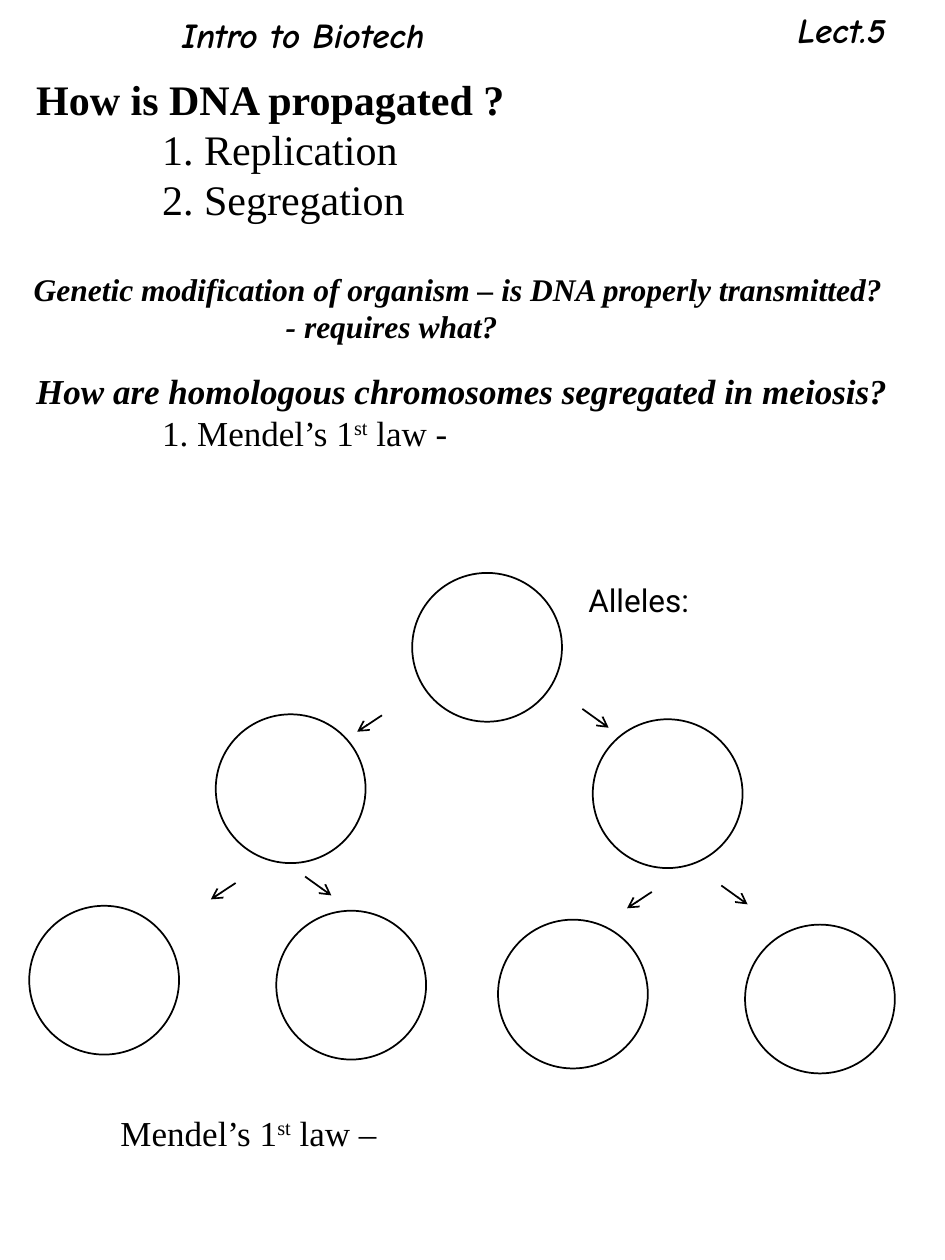
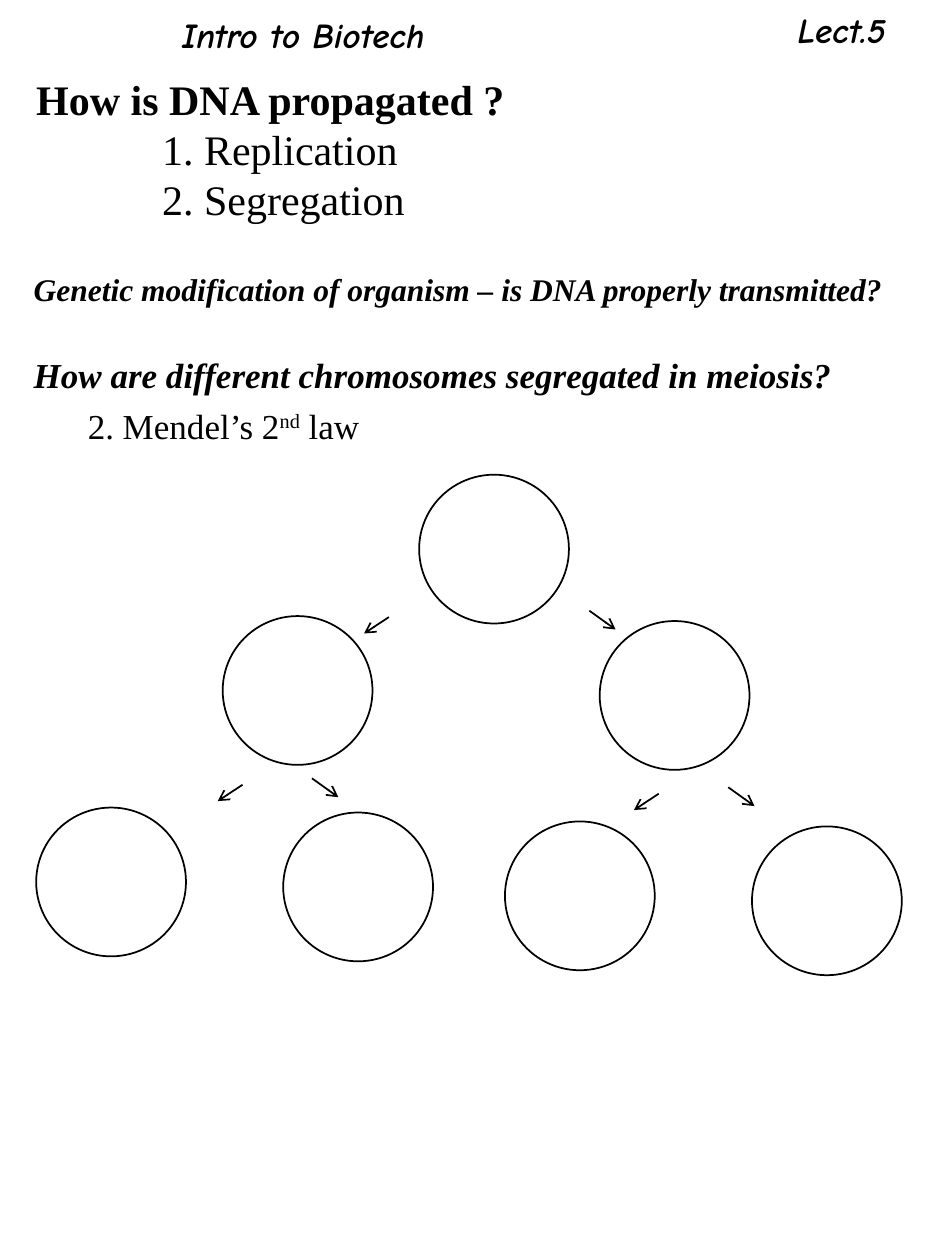
from lxml.etree import SubElement
from pptx import Presentation
from pptx.dml.color import RGBColor
from pptx.enum.shapes import MSO_CONNECTOR, MSO_SHAPE
from pptx.enum.text import PP_ALIGN
from pptx.oxml.ns import qn
from pptx.util import Cm, Pt

INK = "000000"
PAPER = "FFFFFF"
SERIF, SANS, COMIC = "Times New Roman", "Roboto", "Comic Neue"
TAB = 2.54

# b = bold, i = italic, s = superscript
SHARED_TEXTS = [
    ((15.6, 0.05, 2.74, 1.09), COMIC, 20, PP_ALIGN.CENTER, [(0, [("Lect.5", "bi")])]),
    ((3.02, 0.15, 6.2, 1.09), COMIC, 20, PP_ALIGN.CENTER, [(0, [("Intro to Biotech", "bi")])]),
    ((0.48, 1.35, 10.03, 3.33), SERIF, 24, PP_ALIGN.LEFT, [
        (0, [("How is DNA propagated ?", "b")]),
        (1, [("1. Replication", "")]),
        (1, [("2. Segregation", "")]),
    ]),
]
MODIFICATION = (0, [("Genetic modification of organism – is DNA properly transmitted?", "bi")])

SLIDES = [
    {
        "texts": [
            ((0.43, 5.31, 18.01, 1.8), SERIF, 18, PP_ALIGN.LEFT, [
                MODIFICATION,
                (2, [("- requires what?", "bi")]),
            ]),
            ((0.48, 7.32, 18.57, 1.96), SERIF, 20, PP_ALIGN.LEFT, [
                (0, [("How are homologous chromosomes segregated in meiosis?", "bi")]),
                (1, [("1. Mendel’s 1", ""), ("st", "s"), (" law -", "")]),
            ]),
            ((2.18, 22.28, 15.62, 1.12), SERIF, 20, PP_ALIGN.LEFT, [
                (0, [("Mendel’s 1", ""), ("st", "s"), (" law –", "")]),
            ]),
            ((11.61, 11.58, 7.01, 1.02), SANS, 18, PP_ALIGN.LEFT, [(0, [("Alleles:", "")])]),
        ],
        "parent_cell": (8.31, 11.55),
    },
    {
        "texts": [
            ((0.43, 5.31, 18.01, 1.02), SERIF, 18, PP_ALIGN.LEFT, [MODIFICATION]),
            ((0.43, 7.01, 18.19, 1.12), SERIF, 20, PP_ALIGN.LEFT, [
                (0, [("How are different chromosomes segregated in meiosis?", "bi")]),
            ]),
            ((1.52, 8.03, 15.75, 1.12), SERIF, 20, PP_ALIGN.LEFT, [
                (0, [("2. Mendel’s 2", ""), ("nd", "s"), (" law", "")]),
            ]),
        ],
        "parent_cell": (8.45, 9.57),
    },
]

CELL_SIZE = (3.02, 3.0)
CELL_DROP = 0.1
ARROW_RISE = 0.13
LEFT_ARROW = (-0.5, 0.33)
RIGHT_ARROW = (0.53, 0.38)
# Left daughter, daughter gap, left arrow start, arrow gap
DIVISIONS = [
    ((-3.96, 2.85), 7.6, (-0.61, 2.87), 4.04),
    ((-7.72, 6.71), 4.98, (-3.56, 6.25), 1.4),
    ((1.73, 6.99), 4.98, (4.83, 6.43), 1.4),
]


def color(value):
    return RGBColor.from_string(value)


def add_text(page, place, font, size, align, paragraphs):
    box = page.shapes.add_textbox(*map(Cm, place))
    frame = box.text_frame
    frame.word_wrap = True
    for index, (tabs, spans) in enumerate(paragraphs):
        para = frame.add_paragraph() if index else frame.paragraphs[0]
        para.alignment = align
        if tabs:
            para._p.get_or_add_pPr().set("marL", str(Cm(tabs * TAB)))
        for words, style in spans:
            span = para.add_run()
            span.text = words
            span.font.name = font
            span.font.size = Pt(size)
            span.font.bold = "b" in style
            span.font.italic = "i" in style
            span.font.color.rgb = color(INK)
            if "s" in style:
                span.font._element.set("baseline", "30000")


def add_cell(page, left, top):
    cell = page.shapes.add_shape(MSO_SHAPE.OVAL, *map(Cm, (left, top, *CELL_SIZE)))
    cell.shadow.inherit = False
    cell.fill.background()
    cell.line.color.rgb = color(INK)
    cell.line.width = Pt(1)


def add_arrow(page, left, top, vector):
    ends = (left, top, left + vector[0], top + vector[1])
    arrow = page.shapes.add_connector(MSO_CONNECTOR.STRAIGHT, *map(Cm, ends))
    arrow.line.color.rgb = color(INK)
    arrow.line.width = Pt(1)
    SubElement(arrow.line._get_or_add_ln(), qn("a:tailEnd"), type="arrow")
    SubElement(arrow._element.spPr, qn("a:effectLst"))


def add_meiosis(page, left, top):
    add_cell(page, left, top)
    for (cell_x, cell_y), cell_gap, (arrow_x, arrow_y), arrow_gap in DIVISIONS:
        add_cell(page, left + cell_x, top + cell_y)
        add_cell(page, left + cell_x + cell_gap, top + cell_y + CELL_DROP)
        add_arrow(page, left + arrow_x, top + arrow_y, LEFT_ARROW)
        add_arrow(page, left + arrow_x + arrow_gap, top + arrow_y - ARROW_RISE, RIGHT_ARROW)


def main():
    deck = Presentation()
    deck.slide_width, deck.slide_height = Cm(19.05), Cm(25.4)
    for content in SLIDES:
        page = deck.slides.add_slide(deck.slide_layouts[6])
        page.background.fill.solid()
        page.background.fill.fore_color.rgb = color(PAPER)
        for text in SHARED_TEXTS + content["texts"]:
            add_text(page, *text)
        add_meiosis(page, *content["parent_cell"])
    deck.save("out.pptx")


if __name__ == "__main__":
    main()
